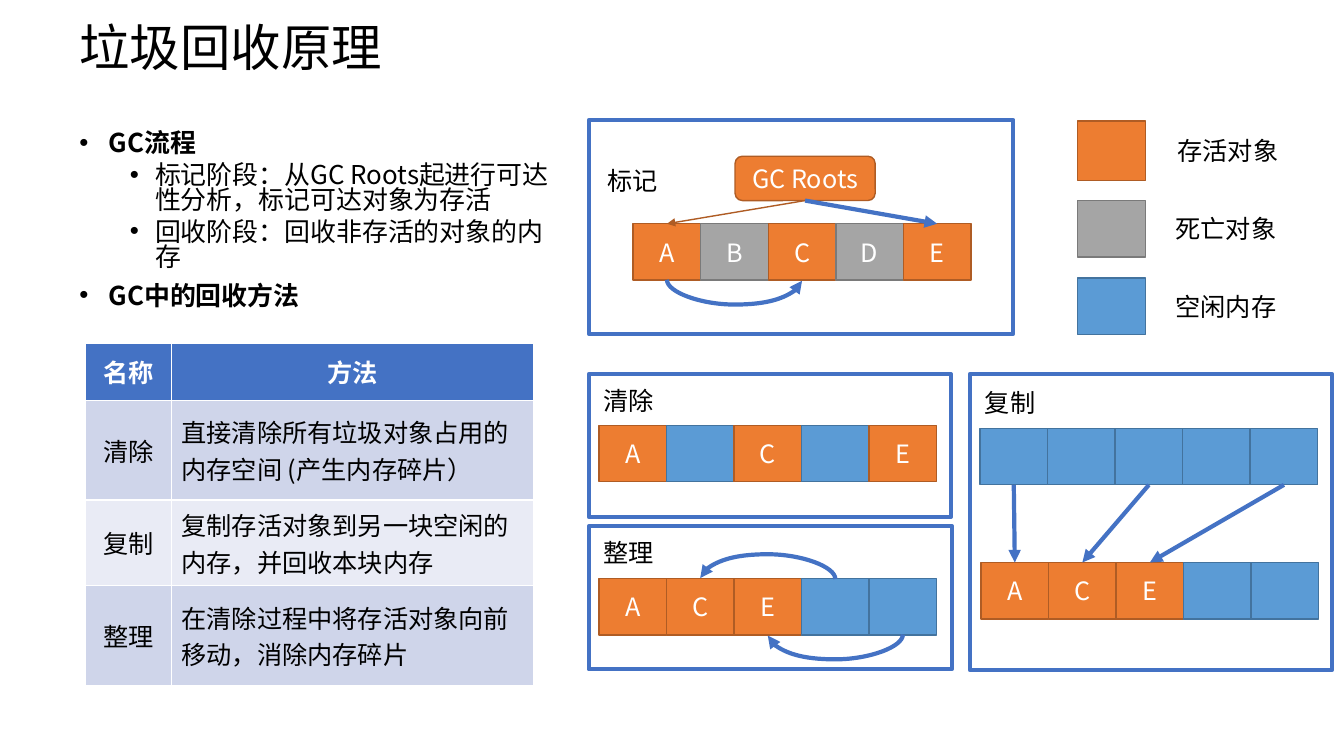
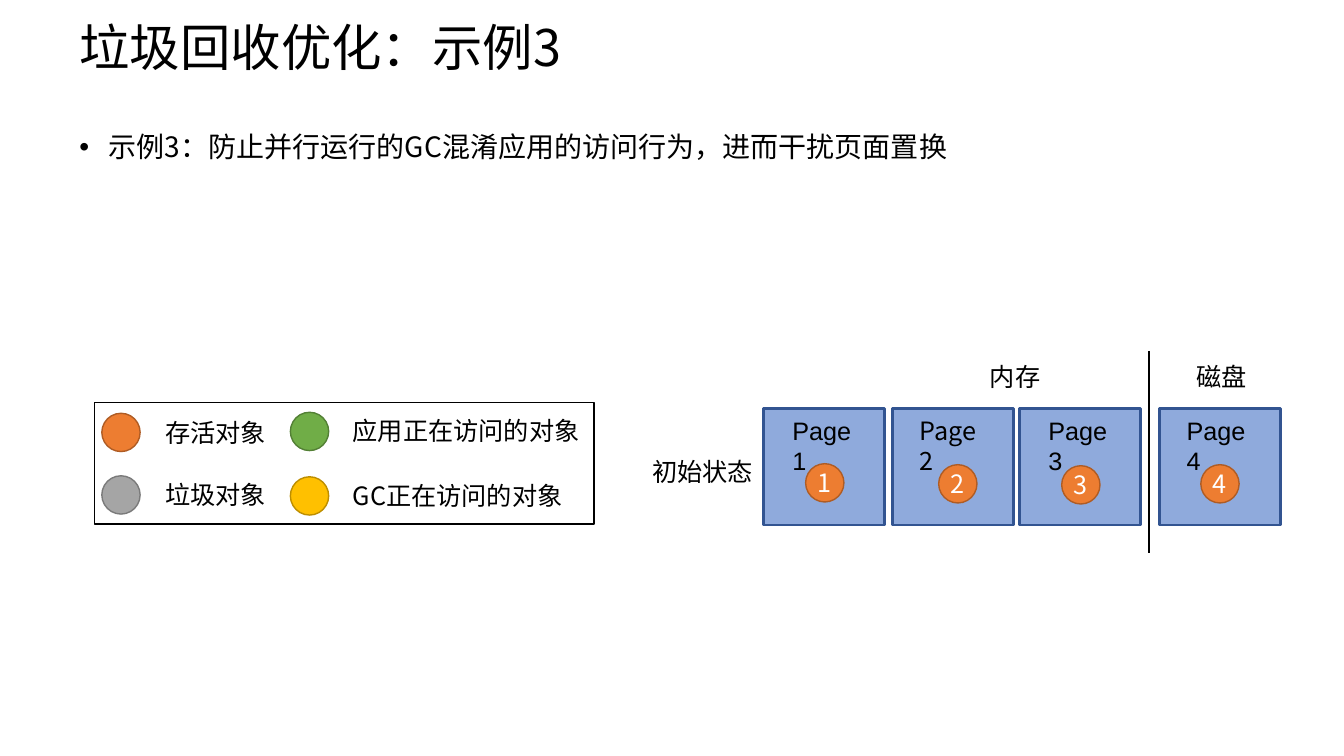
from lxml.etree import SubElement
from pptx import Presentation
from pptx.dml.color import RGBColor
from pptx.enum.shapes import MSO_CONNECTOR as Link, MSO_SHAPE as Form
from pptx.enum.text import MSO_ANCHOR as Anchor, PP_ALIGN as Align
from pptx.oxml.ns import qn
from pptx.util import Emu, Inches, Pt

FONT = "Noto Sans CJK SC"
BLACK, WHITE, BLUE = "000000", "FFFFFF", "4472C4"
LIVE = ("ED7D31", "AF5C24")
DEAD = ("A5A5A5", "7A7A7A")
FREE = ("5B9BD5", "43739E")
APP = ("70AD47", "538035")
SCAN = ("FFC000", "BD8E00")
PAGE = ("8FAADC", "325491")
FRAME = (None, BLUE)
TOP, LEFT, LOW = 0, 1, 2


def tint(code):
    return RGBColor.from_string(code)


def area(*sizes):
    return [Inches(size) for size in sizes]


class Deck:
    def __init__(self):
        self.file = Presentation()
        self.file.slide_width, self.file.slide_height = area(13.33, 7.5)

    def page(self, title):
        self.shapes = self.file.slides.add_slide(self.file.slide_layouts[6]).shapes
        frame = self.text(0.69, 0.09, 11.5, 0.81, title, size=36)
        frame.vertical_anchor = Anchor.MIDDLE
        frame.paragraphs[0].line_spacing = 0.9

    def style(self, para, size=18, color=BLACK, bold=False, name=FONT, align=Align.LEFT):
        para.alignment = align
        font = para.font
        font.size, font.bold, font.name = Pt(size), bold, name
        font.color.rgb = tint(color)
        SubElement(para._p.pPr.find(qn("a:defRPr")), qn("a:ea"), typeface=FONT)

    def text(self, x, y, w, h, words, **look):
        frame = self.shapes.add_textbox(*area(x, y, w, h)).text_frame
        frame.word_wrap = True
        frame.text = words
        self.style(frame.paragraphs[0], **look)
        return frame

    def label(self, x, y, words, w=1.5, **look):
        self.text(x, y, w, 0.4, words, **look)

    def list(self, w, h, items, size, gap):
        frame = self.shapes.add_textbox(*area(0.69, 1.27, w, h)).text_frame
        frame.word_wrap = True
        for i, (level, words, bold) in enumerate(items):
            para = frame.add_paragraph() if i else frame.paragraphs[0]
            para.text = words
            para.line_spacing = gap
            para.space_before = Pt(5 if level else 10)
            self.style(para, size, bold=bold)
            props = para._p.pPr
            left, hang = (0.75, 0.25) if level else (0.29, 0.29)
            props.set("marL", str(Inches(left)))
            props.set("indent", str(-Inches(hang)))
            spot = props.index(props.find(qn("a:defRPr")))
            face = SubElement(props, qn("a:buFont"), typeface="Arial")
            mark = SubElement(props, qn("a:buChar"), char="•")
            props.insert(spot, face)
            props.insert(spot + 1, mark)

    def box(self, x, y, w, h, pair, words="", form=Form.RECTANGLE, width=1):
        shape = self.shapes.add_shape(form, *area(x, y, w, h))
        shape.shadow.inherit = False
        fill, edge = pair
        if fill:
            shape.fill.solid()
            shape.fill.fore_color.rgb = tint(fill)
        else:
            shape.fill.background()
        shape.line.color.rgb = tint(edge)
        shape.line.width = Pt(width)
        if words:
            frame = shape.text_frame
            frame.margin_left = frame.margin_right = 0
            frame.margin_top = frame.margin_bottom = 0
            frame.vertical_anchor = Anchor.MIDDLE
            frame.text = words
            self.style(frame.paragraphs[0], color=WHITE, align=Align.CENTER)
        return shape

    def dot(self, x, y, pair, words=""):
        self.box(x, y, 0.38, 0.38, pair, words, Form.OVAL)

    def row(self, x, y, names):
        cells = []
        for i, name in enumerate(names):
            pair = FREE if name == "-" else DEAD if name in "BD" else LIVE
            words = "" if name == "-" else name
            cells.append(self.box(x + i * 0.67, y, 0.67, 0.56, pair, words))
        return cells

    def line(self, ends, color, width, kind=Link.STRAIGHT):
        link = self.shapes.add_connector(kind, *area(*ends))
        link.line.color.rgb = tint(color)
        link.line.width = Pt(width)
        SubElement(link._element.spPr, qn("a:effectLst"))
        return link

    def arrow(self, start, out, end, into, color=BLUE, width=3, kind=Link.STRAIGHT):
        link = self.line((0, 0, 1, 1), color, width, kind)
        link.begin_connect(start, out)
        link.end_connect(end, into)
        SubElement(link.line._get_or_add_ln(), qn("a:tailEnd"), type="triangle")
        return link

    def curve(self, start, end, side):
        link = self.arrow(start, side, end, side, kind=Link.CURVE)
        span = link.end_x - link.begin_x
        mid = (link.begin_x + link.end_x) // 2
        level = (link.begin_y + link.end_y) // 2
        thin, long = Inches(0.01), abs(span)
        props = link._element.spPr
        frame = props.find(qn("a:xfrm"))
        frame.attrib.clear()
        link.left, link.top = Emu(mid - thin // 2), Emu(level - long // 2)
        link.width, link.height = thin, Emu(long)
        turn = 90 if span < 0 and side == LOW else 270
        frame.set("rot", str(turn * 60000))
        if turn == 270:
            frame.set("flipH" if side == LOW else "flipV", "1")
        guides = props.find(qn("a:prstGeom")).find(qn("a:avLst"))
        SubElement(guides, qn("a:gd"), name="adj1", fmla="val 2500000")

    def table(self, x, y, cols, rows, data):
        grid = self.shapes.add_table(
            len(rows), len(cols), *area(x, y, sum(cols), sum(rows))).table
        for col, w in zip(grid.columns, cols):
            col.width = Inches(w)
        for i, (row, h, line) in enumerate(zip(grid.rows, rows, data)):
            row.height = Inches(h)
            for j, (cell, words) in enumerate(zip(row.cells, line)):
                cell.text = words
                cell.vertical_anchor = Anchor.MIDDLE
                cell.fill.solid()
                shade = BLUE if i == 0 else "CFD5EA" if i % 2 else "E9EBF5"
                cell.fill.fore_color.rgb = tint(shade)
                self.style(
                    cell.text_frame.paragraphs[0],
                    color=BLACK if i else WHITE, bold=i == 0,
                    align=Align.LEFT if i and j else Align.CENTER)


def basics(deck):
    deck.page("垃圾回收原理")
    deck.list(4.86, 1.97, [
        (0, "GC流程", True),
        (1, "标记阶段：从GC Roots起进行可达性分析，标记可达对象为存活", False),
        (1, "回收阶段：回收非存活的对象的内存", False),
        (0, "GC中的回收方法", True),
    ], 18.5, 0.8)
    deck.table(0.85, 3.41, (0.85, 3.59), (0.56, 0.99, 0.85, 0.99), [
        ("名称", "方法"),
        ("清除", "直接清除所有垃圾对象占用的内存空间 (产生内存碎片）"),
        ("复制", "复制存活对象到另一块空闲的内存，并回收本块内存"),
        ("整理", "在清除过程中将存活对象向前移动，消除内存碎片"),
    ])

    for x, y, w, h, words, tx, ty in (
        (5.84, 1.19, 4.21, 2.12, "标记", 5.93, 1.59),
        (5.84, 3.71, 3.59, 1.42, "清除", 5.89, 3.77),
        (5.84, 5.22, 3.6, 1.42, "整理", 5.89, 5.28),
        (9.62, 3.71, 3.59, 2.94, "复制", 9.67, 3.79),
    ):
        deck.box(x, y, w, h, FRAME, width=3)
        deck.label(tx, ty, words)

    root = deck.box(7.29, 1.55, 1.39, 0.44, LIVE, "GC Roots", Form.ROUNDED_RECTANGLE)
    marks = deck.row(6.28, 2.22, "ABCDE")
    deck.arrow(root, LOW, marks[0], TOP, LIVE[1], 1)
    deck.arrow(root, LOW, marks[4], TOP)
    deck.curve(marks[0], marks[2], LOW)

    deck.row(5.94, 4.22, "A-C-E")

    packed = deck.row(5.94, 5.74, "ACE--")
    deck.curve(packed[3], packed[1], TOP)
    deck.curve(packed[4], packed[2], LOW)

    olds = deck.row(9.72, 4.25, "-----")
    news = deck.row(9.73, 5.58, "ACE--")
    for old, new in zip(olds[::2], news):
        deck.arrow(old, LOW, new, TOP)

    for y, h, pair, x, ty, words in (
        (1.2, 0.59, LIVE, 11.58, 1.29, "存活对象"),
        (1.99, 0.56, DEAD, 11.56, 2.07, "死亡对象"),
        (2.76, 0.56, FREE, 11.56, 2.84, "空闲内存"),
    ):
        deck.box(10.69, y, 0.67, h, pair)
        deck.label(x, ty, words)


def sample(deck):
    deck.page("垃圾回收优化：示例3")
    deck.list(12.34, 5.53, [
        (0, "示例3：防止并行运行的GC混淆应用的访问行为，进而干扰页面置换", False),
    ], 20, 0.9)

    deck.box(0.94, 3.99, 4.95, 1.21, (None, BLACK))
    for x, y, pair, tx, ty, words in (
        (1.01, 4.1, LIVE, 1.54, 4.09, "存活对象"),
        (1.01, 4.72, DEAD, 1.54, 4.71, "垃圾对象"),
        (2.88, 4.09, APP, 3.4, 4.07, "应用正在访问的对象"),
        (2.88, 4.73, SCAN, 3.4, 4.72, "GC正在访问的对象"),
    ):
        deck.dot(x, y, pair)
        deck.label(tx, ty, words, 2.83)

    deck.label(6.37, 4.48, "初始状态")
    deck.label(9.72, 3.54, "内存")
    deck.label(11.77, 3.54, "磁盘")
    for i, (x, tx, dx, dy, name) in enumerate((
        (7.57, 7.76, 7.99, 4.6, "Arial"),
        (8.85, 9.02, 9.31, 4.61, FONT),
        (10.11, 10.3, 10.53, 4.62, "Arial"),
        (11.5, 11.67, 11.91, 4.61, "Arial"),
    ), 1):
        deck.box(x, 4.05, 1.2, 1.16, PAGE, width=2)
        deck.label(tx, 4.07, f"Page {i}", 0.9, name=name)
        deck.dot(dx, dy, LIVE, str(i))
    deck.line((11.4, 3.48, 11.4, 5.49), BLACK, 1.5)


def main():
    deck = Deck()
    basics(deck)
    sample(deck)
    deck.file.save("out.pptx")


if __name__ == "__main__":
    main()
